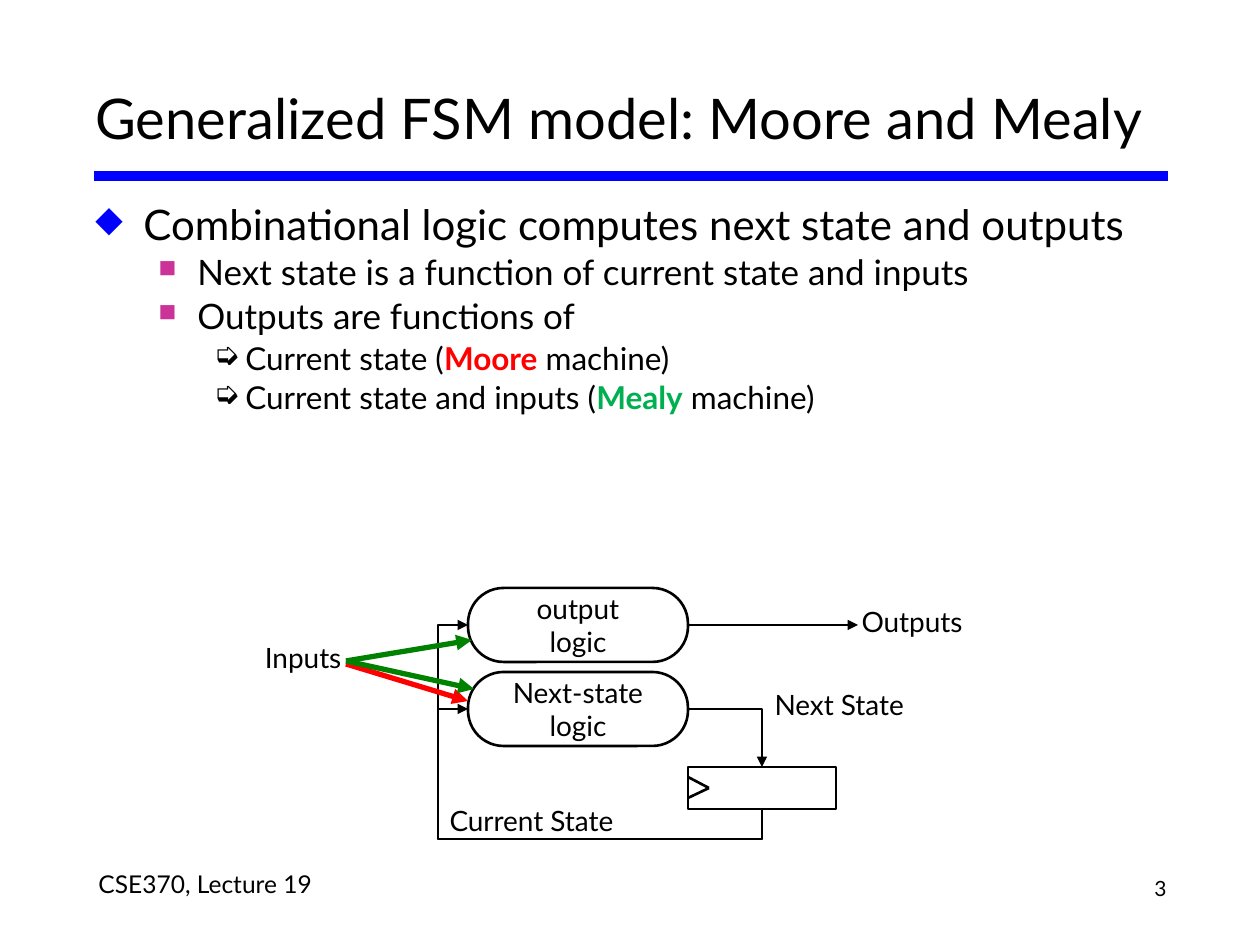
from lxml.etree import SubElement
from pptx import Presentation
from pptx.dml.color import RGBColor
from pptx.enum.shapes import MSO_CONNECTOR as CXN, MSO_SHAPE as SHAPE
from pptx.enum.text import MSO_ANCHOR as ANCHOR, PP_ALIGN as ALIGN
from pptx.oxml.ns import qn
from pptx.util import Emu, Inches, Pt

BLACK = RGBColor(0, 0, 0)
BLUE = RGBColor(0, 0, 255)
RED = RGBColor(255, 0, 0)
GREEN = RGBColor(0, 0x82, 0)
MEALY_GREEN = RGBColor(0, 0xB0, 0x50)
MAGENTA = RGBColor(0xCC, 0x33, 0x99)
FONT = "Lato"

TITLE = "Generalized FSM model: Moore and Mealy"
BODY = [
    (0, [("Combinational logic computes next state and outputs", None)]),
    (1, [("Next state is a function of current state and inputs", None)]),
    (1, [("Outputs are functions of", None)]),
    (2, [("Current state (", None), ("Moore", RED), (" machine)", None)]),
    (2, [("Current state and inputs (", None), ("Mealy", MEALY_GREEN), (" machine)", None)]),
]
# level: size, left margin px, hanging px, bullet, bullet colour, bullet percent, line spacing
LEVELS = [
    (24, 48, 48, "◆", BLUE, 85, 1.0),
    (20, 102, 39, "■", MAGENTA, 70, 1.05),
    (18, 150, 32, "➭", BLACK, 100, 1.05),
]
LABELS = [
    ("3", (1120, 869, 49, 45), 12, 16, ALIGN.RIGHT),
    ("CSE370, Lecture 19", (96, 867, 467, 47), 14, 16, ALIGN.LEFT),
    ("Inputs", (217, 646, 127, 42), 16, 14, ALIGN.RIGHT),
    ("Outputs", (859, 610, 181, 42), 16, 14, ALIGN.LEFT),
    ("Next State", (772, 693, 163, 42), 16, 14, ALIGN.LEFT),
    ("Current State", (447, 809, 193, 42), 16, 14, ALIGN.LEFT),
]
OUTPUT_BOX = (468, 588, 220, 74)
NEXT_BOX = (468, 672, 220, 74)
REGISTER_BOX = (688, 767, 148, 42)
CLOCK_TIP = (709, 788)
CLOCK_STARTS = [(688, 777), (688, 798)]
INPUT_ARROWS = [
    ((346, 661), (472, 640), GREEN),
    ((346, 664), (468, 701), RED),
    ((346, 661), (474, 689), GREEN),
]
LOOP_GAP = 30


def px(n):
    return Emu(round(n * 914400 / 126))


def style(r, size, color=BLACK, bold=False):
    r.font.name, r.font.size, r.font.bold = FONT, Pt(size), bold
    r.font.color.rgb = color


def text_box(box, inset=(0.1, 0.05), anchor=ANCHOR.TOP):
    tf = s.shapes.add_textbox(*map(px, box)).text_frame
    tf.word_wrap, tf.vertical_anchor = True, anchor
    tf.margin_left = tf.margin_right = Inches(inset[0])
    tf.margin_top = tf.margin_bottom = Inches(inset[1])
    return tf


def block(kind, box, text=""):
    sp = s.shapes.add_shape(kind, *map(px, box))
    sp.shadow.inherit = False
    sp.fill.background()
    sp.line.color.rgb, sp.line.width = BLACK, Pt(1.5)
    if text:
        sp.adjustments[0] = 0.48
        tf = sp.text_frame
        tf.word_wrap, tf.vertical_anchor = True, ANCHOR.MIDDLE
        p = tf.paragraphs[0]
        p.text, p.alignment = text, ALIGN.CENTER
        for r in p.runs:
            style(r, 16)
    return sp


def line(start, end, color=BLACK, width=1.5, arrow=True, kind=CXN.STRAIGHT):
    c = s.shapes.add_connector(kind, *map(px, start + end))
    c.line.color.rgb, c.line.width = color, Pt(width)
    if arrow:
        SubElement(c.line._get_or_add_ln(), qn("a:tailEnd"), type="triangle")
    SubElement(c._element.spPr, qn("a:effectLst"))
    return c


def bend(c, preset, **adjust):
    geom = c._element.spPr.find(qn("a:prstGeom"))
    geom.set("prst", preset)
    guides = geom.find(qn("a:avLst"))
    for name, value in adjust.items():
        SubElement(guides, qn("a:gd"), name=name, fmla=f"val {round(value * 100000)}")


def feedback(target, box):
    x1, y1 = REGISTER_BOX[0] + REGISTER_BOX[2] // 2, REGISTER_BOX[1] + REGISTER_BOX[3]
    x2, y2 = box[0], box[1] + box[3] // 2
    w, h = y1 - y2, x1 - x2
    c = line((x1, y1), (x2, y2), kind=CXN.ELBOW)
    c.begin_connect(register, 2)
    c.end_connect(target, 1)
    c.left, c.top = px((x1 + x2 - w) / 2), px((y1 + y2 - h) / 2)
    c.width, c.height = px(w), px(h)
    xfrm = c._element.spPr.find(qn("a:xfrm"))
    for name, value in (("rot", "16200000"), ("flipH", "0"), ("flipV", "1")):
        xfrm.set(name, value)
    bend(c, "bentConnector4", adj1=-LOOP_GAP / w, adj2=1 + LOOP_GAP / h)


def bullet(p, level):
    size, margin, hang, char, color, percent, spacing = LEVELS[level]
    pPr = p._p.get_or_add_pPr()
    p.level, p.line_spacing = level, spacing
    pPr.set("marL", str(px(margin)))
    pPr.set("indent", str(-px(hang)))
    SubElement(SubElement(pPr, qn("a:buClr")), qn("a:srgbClr"), val=str(color))
    SubElement(pPr, qn("a:buSzPct"), val=str(percent * 1000))
    SubElement(pPr, qn("a:buChar"), char=char)
    return size


prs = Presentation()
prs.slide_width, prs.slide_height = Inches(10), Inches(7.5)
s = prs.slides.add_slide(prs.slide_layouts[6])

line((94, 176), (1168, 176), BLUE, 6, arrow=False)
for text, box, size, spacing, align in LABELS:
    p = text_box(box, (0.02, 0.03)).paragraphs[0]
    p.text, p.alignment, p.line_spacing = text, align, Pt(spacing)
    style(p.runs[0], size)

output_logic = block(SHAPE.ROUNDED_RECTANGLE, OUTPUT_BOX, "output\vlogic")
register = block(SHAPE.RECTANGLE, REGISTER_BOX)
for start in CLOCK_STARTS:
    line(start, CLOCK_TIP, arrow=False)
next_logic = block(SHAPE.ROUNDED_RECTANGLE, NEXT_BOX, "Next-state\vlogic")

c = line((688, 709), (762, 767), kind=CXN.ELBOW)
c.begin_connect(next_logic, 3)
c.end_connect(register, 0)
bend(c, "bentConnector2")
feedback(output_logic, OUTPUT_BOX)
feedback(next_logic, NEXT_BOX)
line((688, 625), (858, 625)).begin_connect(output_logic, 3)
for start, end, color in INPUT_ARROWS:
    line(start, end, color, 3)

p = text_box((83, 66, 1094, 103), anchor=ANCHOR.MIDDLE).paragraphs[0]
p.text = TITLE
style(p.runs[0], 32)

tf = text_box((83, 192, 1094, 359))
for i, (level, runs) in enumerate(BODY):
    p = tf.add_paragraph() if i else tf.paragraphs[0]
    size = bullet(p, level)
    for text, color in runs:
        r = p.add_run()
        r.text = text
        style(r, size, color or BLACK, bold=color is not None)

prs.save("out.pptx")
